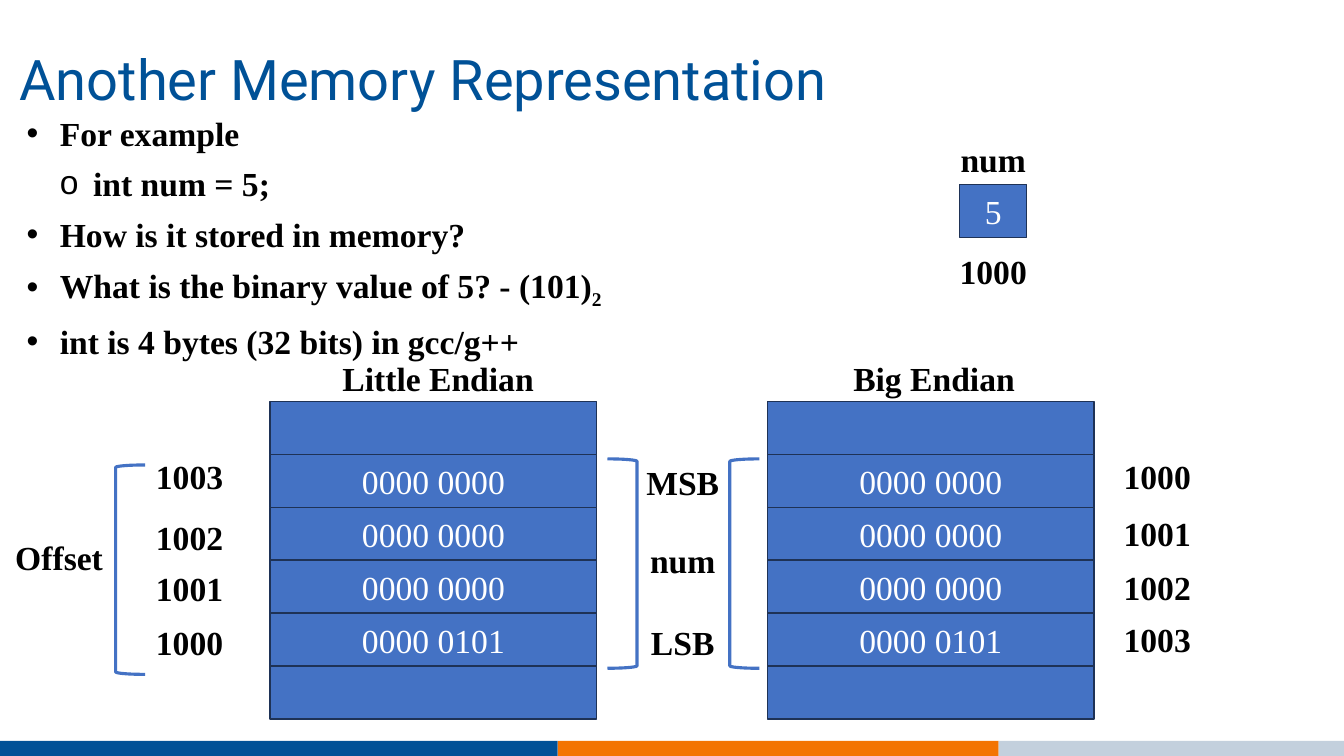
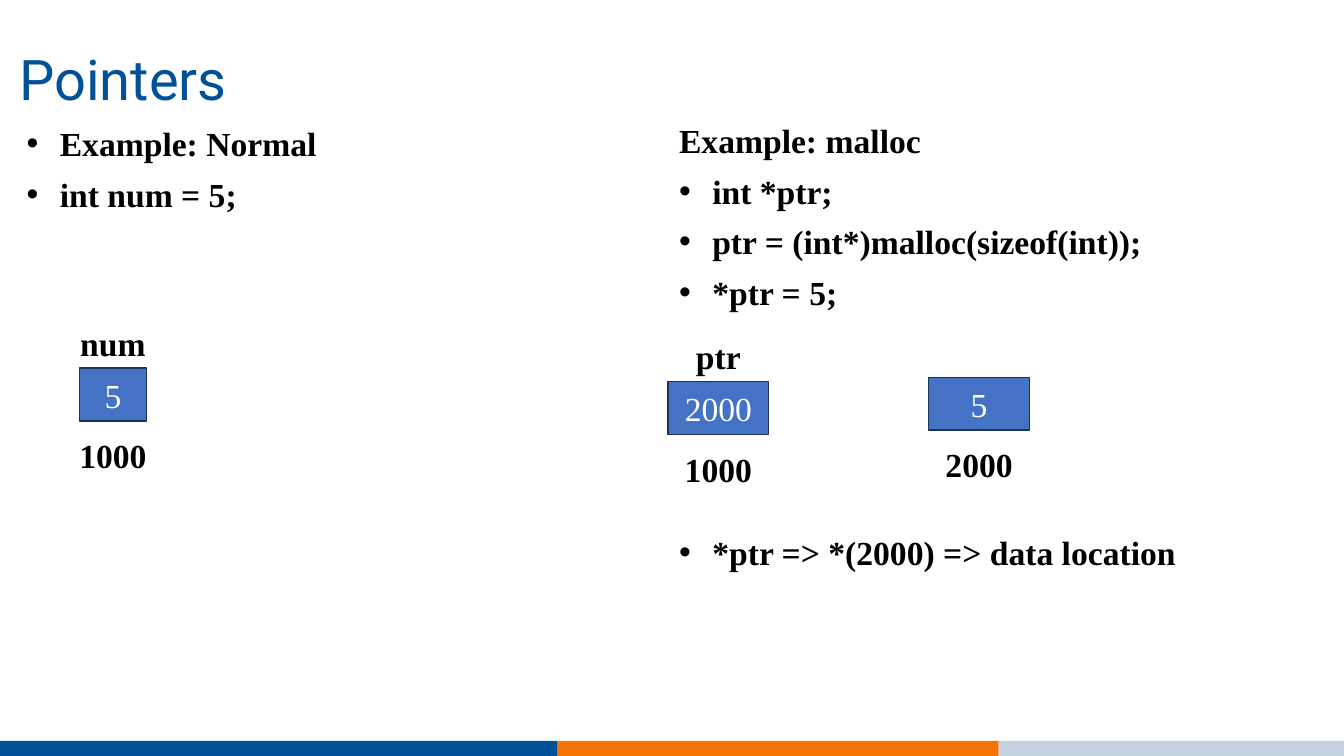
"""Two lecture slides on byte order in memory and on pointers."""
from lxml.etree import SubElement
from pptx import Presentation
from pptx.dml.color import RGBColor
from pptx.enum.shapes import MSO_SHAPE as Shape
from pptx.enum.text import MSO_ANCHOR as Anchor, MSO_AUTO_SIZE as AutoSize, PP_ALIGN as Align
from pptx.oxml.ns import qn
from pptx.util import Inches, Pt

NAVY = RGBColor(0x00, 0x51, 0x97)
ORANGE = RGBColor(0xF3, 0x74, 0x02)
MIST = RGBColor(0xC3, 0xD0, 0xDD)
BLUE = RGBColor(0x44, 0x72, 0xC4)
BORDER = RGBColor(0x1E, 0x32, 0x56)
BLACK = RGBColor(0x00, 0x00, 0x00)
WHITE = RGBColor(0xFF, 0xFF, 0xFF)

HEADING_FONT, BODY_FONT = "Roboto", "Times New Roman"
BYTE_HEIGHT = 7
BYTE_WIDTH = 24.3
STACK_TOP = 53.1
LABEL_HEIGHT = 6.7

deck = Presentation()
deck.slide_width, deck.slide_height = Inches(13.33), Inches(7.5)
COL, ROW = deck.slide_width / 100, deck.slide_height / 100


def grid(left, top, width, height):
    """Turn columns and rows of a 100 by 100 grid into lengths."""
    return int(left * COL), int(top * ROW), int(width * COL), int(height * ROW)


def style(box, font, size, color, bold=False, align=Align.CENTER, anchor=Anchor.TOP, inset=(0.1, 0.05)):
    """Format the frame, paragraphs and runs of a box."""
    frame = box.text_frame
    frame.word_wrap, frame.auto_size = True, AutoSize.NONE
    frame.vertical_anchor = anchor
    frame.margin_left = frame.margin_right = Inches(inset[0])
    frame.margin_top = frame.margin_bottom = Inches(inset[1])
    for paragraph in frame.paragraphs:
        paragraph.alignment = align
        for run in paragraph.runs:
            run.font.name, run.font.size = font, Pt(size)
            run.font.color.rgb, run.font.bold = color, bold


endian = deck.slides.add_slide(deck.slide_layouts[1])
pointers = deck.slides.add_slide(deck.slide_layouts[3])

for slide, heading in ((endian, "Another Memory Representation"), (pointers, "Pointers")):
    for left, right, color in ((0, 41.5, NAVY), (41.5, 74.3, ORANGE), (74.3, 100, MIST)):
        band = slide.shapes.add_shape(Shape.RECTANGLE, *grid(left, 98, right - left, 2))
        band.shadow.inherit = False
        band.fill.solid()
        band.fill.fore_color.rgb = color
        band.line.fill.background()
    title = slide.shapes.title
    title.left, title.top, title.width, title.height = grid(1.45, 4.4, 63.8, 9.7)
    title.text_frame.text = heading
    style(title, HEADING_FONT, 40, NAVY, align=Align.LEFT, inset=(0, 0))
    title.text_frame.paragraphs[0].line_spacing = Pt(56)

conclusion = pointers.shapes.add_textbox(*grid(50, 69.6, 48.5, 6.3))
lists = [
    (endian.placeholders[1], (1.45, 14.1, 95.6, 33.1), [
        ("•", "For example"),
        ("o", "int num = 5;"),
        ("•", "How is it stored in memory?"),
        ("•", "What is the binary value of 5? - (101)"),
        ("•", "int is 4 bytes (32 bits) in gcc/g++")]),
    (pointers.placeholders[1], (1.45, 15.5, 48.5, 12.9), [
        ("•", "Example: Normal"),
        ("•", "int num = 5;")]),
    (pointers.placeholders[2], (50, 15.1, 47, 26.4), [
        ("", "Example: malloc"),
        ("•", "int *ptr;"),
        ("•", "ptr = (int*)malloc(sizeof(int));"),
        ("•", "*ptr = 5;")]),
    (conclusion, (50, 69.6, 48.5, 6.3), [
        ("•", "*ptr => *(2000) => data location")]),
]
for body, area, items in lists:
    body.left, body.top, body.width, body.height = grid(*area)
    body.text_frame.text = "\n".join(text for bullet, text in items)
    for paragraph, (bullet, text) in zip(body.text_frame.paragraphs, items):
        if text.endswith("(101)"):
            base = paragraph.add_run()
            base.text = "2"
            base.font._element.set("baseline", "-25000")
        paragraph.level = 1 if bullet == "o" else 0
        paragraph.line_spacing = 1.07
        paragraph.space_before, paragraph.space_after = Pt(0), Pt(5.3)
        props = paragraph._p.get_or_add_pPr()
        indent = Inches(0.33) if bullet else 0
        props.set("marL", str(indent * (paragraph.level + 1)))
        props.set("indent", str(-indent))
        if bullet:
            SubElement(props, qn("a:buFont")).set("typeface", "Arial")
            SubElement(props, qn("a:buChar")).set("char", bullet)
        else:
            SubElement(props, qn("a:buNone"))
    style(body, BODY_FONT, 24, BLACK, bold=True, align=Align.JUSTIFY, inset=(0.07, 0.03))

stored_bytes = ["", "0000 0000", "0000 0000", "0000 0000", "0000 0101", ""]
cells = [(endian, left, STACK_TOP + row * BYTE_HEIGHT, BYTE_WIDTH, value)
         for left in (20.1, 57.1) for row, value in enumerate(stored_bytes)]
labels = [
    (endian, 32.6, 46.7, 17, "Little Endian"),
    (endian, 69.5, 46.7, 17, "Big Endian"),
    (endian, 50.8, 60.4, 8.5, "MSB"),
    (endian, 50.8, 70.7, 8.5, "num"),
    (endian, 50.8, 81.6, 8.5, "LSB"),
    (endian, 4.4, 70.4, 8.5, "Offset"),
]
address_tops = [(59.6, 59.6), (67.7, 67.2), (74.5, 74.3), (81.6, 81.2)]
for step, (little_top, big_top) in enumerate(address_tops):
    labels.append((endian, 14.1, little_top, 8.5, str(1003 - step)))
    labels.append((endian, 86.1, big_top, 8.5, str(1000 + step)))

variables = [
    (endian, 71.4, 24.4, 5, "num", "5", "1000"),
    (pointers, 5.9, 48.7, 5, "num", "5", "1000"),
    (pointers, 49.7, 50.5, 7.5, "ptr", "2000", "1000"),
    (pointers, 69.1, 49.9, 7.5, "", "5", "2000"),
]
for slide, left, top, width, name, value, address in variables:
    center = left + width / 2
    cells.append((slide, left, top, width, value))
    labels.append((slide, center, top + 8.2, 8.5, address))
    if name:
        labels.append((slide, center, top - LABEL_HEIGHT, 8.5, name))

for slide, left, top, width, value in cells:
    cell = slide.shapes.add_shape(Shape.RECTANGLE, *grid(left, top, width, BYTE_HEIGHT))
    cell.shadow.inherit = False
    cell.fill.solid()
    cell.fill.fore_color.rgb = BLUE
    cell.line.color.rgb, cell.line.width = BORDER, Pt(1)
    if value:
        cell.text_frame.text = value
        style(cell, BODY_FONT, 24, WHITE, anchor=Anchor.MIDDLE)

for slide, center, top, width, text in labels:
    label = slide.shapes.add_textbox(*grid(center - width / 2, top, width, LABEL_HEIGHT))
    label.text_frame.text = text
    style(label, BODY_FONT, 24, BLACK, bold=True)

for kind, left, top in ((Shape.LEFT_BRACKET, 8.6, 61.5),
                        (Shape.RIGHT_BRACKET, 45.2, 60.7),
                        (Shape.LEFT_BRACKET, 54.3, 60.7)):
    bracket = endian.shapes.add_shape(kind, *grid(left, top, 2.2, 27.7))
    bracket.shadow.inherit = False
    bracket.fill.background()
    bracket.line.color.rgb, bracket.line.width = BLUE, Pt(2.25)

deck.save("out.pptx")
